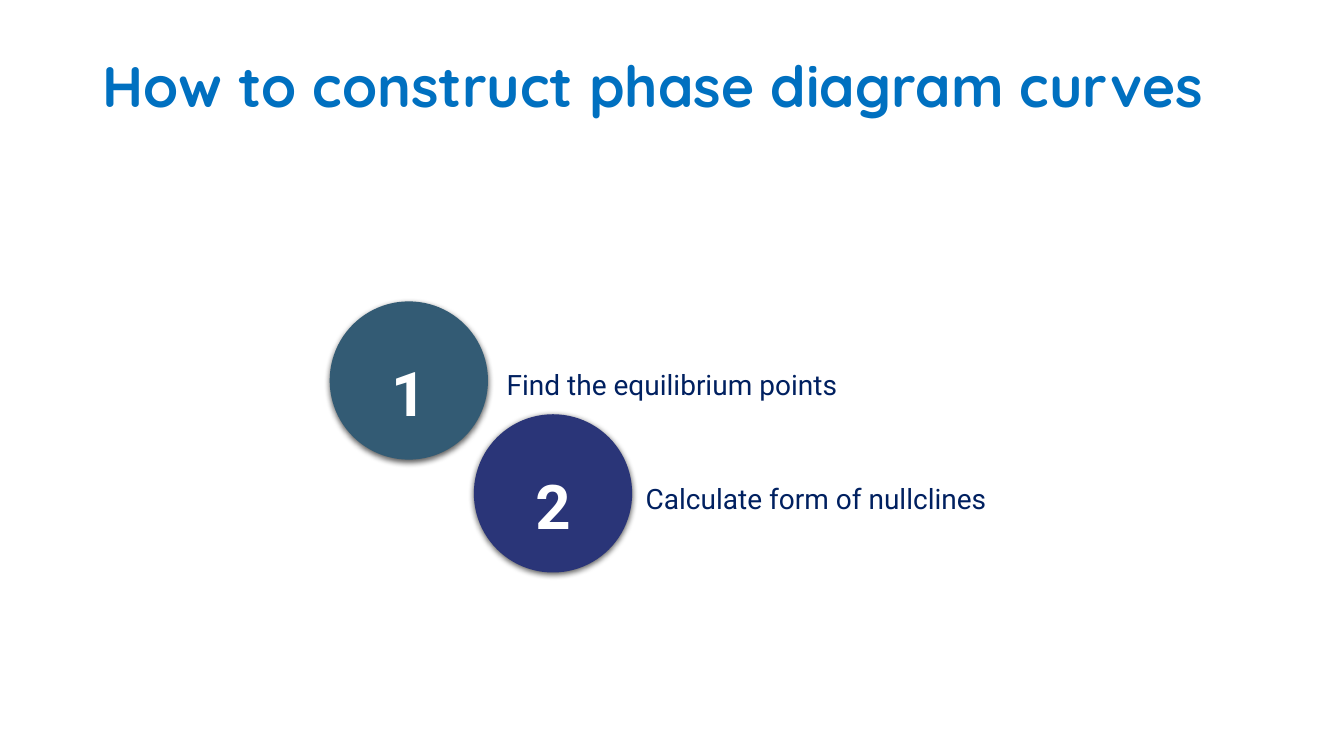
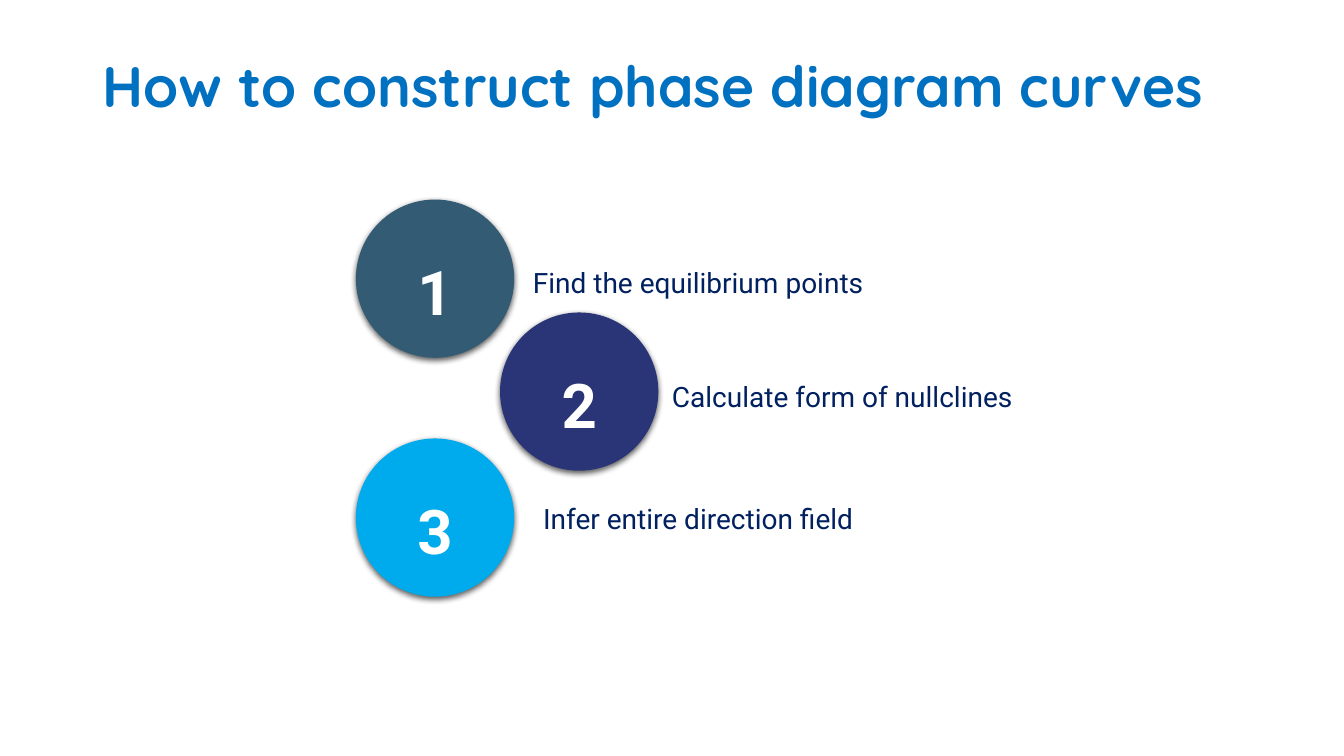
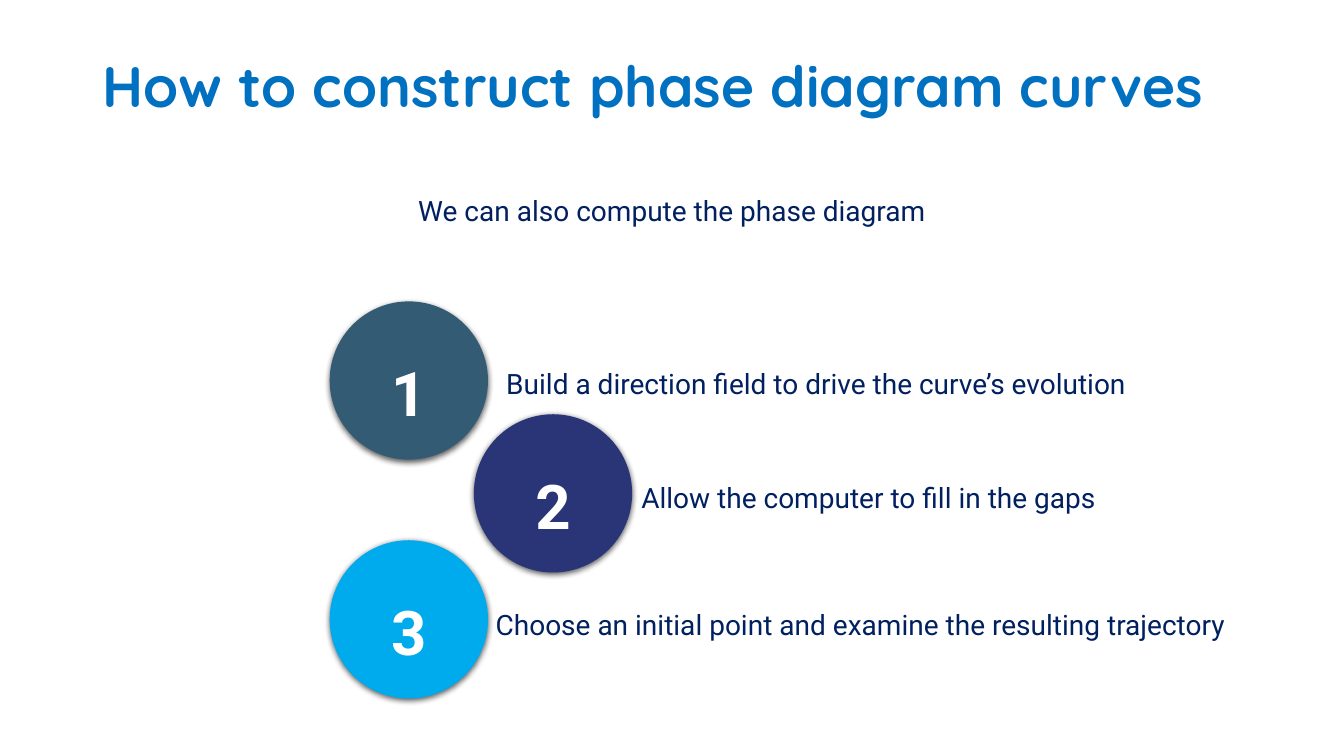
from lxml import etree
from pptx import Presentation
from pptx.dml.color import RGBColor
from pptx.enum.shapes import MSO_SHAPE as Shape
from pptx.enum.text import MSO_ANCHOR as Anchor, MSO_AUTO_SIZE as AutoSize, PP_ALIGN as Align
from pptx.oxml.ns import qn
from pptx.util import Inches, Pt

WIDTH, HEIGHT = 13.33, 7.5
TITLE = "How to construct phase diagram curves"
TITLE_FRAME = (0.92, 0.4, 11.5, 0.83)
DIAMETER = 1.57
COLUMN_STEP = 1.43
COLUMNS = (0, COLUMN_STEP, 0)
ROWS = (0, 1.12, 2.37)
CIRCLE_FILLS = ("335B74", "2A3578", "00ABED")
CAPTION_LEFT = -2.23
CAPTION_SIZE = (11.25, 0.55)
NUMBER_OFFSET = (0.485, 0.12)
NUMBER_SIZE = (0.6, 1.1)

BODY_PARAGRAPH = {"alignment": Align.CENTER, "line_spacing": 1.5, "space_after": Pt(6)}
BODY_FRAME = {"word_wrap": True, "auto_size": AutoSize.SHAPE_TO_FIT_TEXT}
STYLES = {
    "title": {
        "color": "0070C0",
        "font": {"name": "Quicksand", "size": Pt(40.8), "bold": True},
        "paragraph": {"alignment": Align.LEFT, "line_spacing": 0.8},
        "frame": {"word_wrap": True, "vertical_anchor": Anchor.BOTTOM},
    },
    "caption": {
        "color": "002060",
        "font": {"name": "Roboto", "size": Pt(20)},
        "paragraph": BODY_PARAGRAPH,
        "frame": BODY_FRAME,
    },
    "number": {
        "color": "FFFFFF",
        "font": {"name": "Roboto", "size": Pt(44), "bold": True},
        "paragraph": BODY_PARAGRAPH,
        "frame": BODY_FRAME,
    },
}

FIND = ("Find the equilibrium points", 0, 0.44)
CALCULATE = ("Calculate form of nullclines", 0, 0.45)
INFER = ("Infer entire direction field", 0, 0.41)
COMPUTED_STEPS = (
    ("Build a direction field to drive the curve’s evolution", COLUMN_STEP, 0.43),
    ("Allow the computer to fill in the gaps", 0.52, 0.44),
    ("Choose an initial point and examine the resulting trajectory", 1.87, 0.45),
)


def paint(color_format, color):
    """Set a colour from a hex string."""
    color_format.rgb = RGBColor.from_string(color)


def set_values(target, values):
    """Set attributes of an object from a dict."""
    for name, value in values.items():
        setattr(target, name, value)


def add_text(slide, text, frame, style_name):
    """Add a text box in one of the shared styles."""
    style = STYLES[style_name]
    text_frame = slide.shapes.add_textbox(*map(Inches, frame)).text_frame
    set_values(text_frame, style["frame"])
    paragraph = text_frame.paragraphs[0]
    set_values(paragraph, style["paragraph"])
    run = paragraph.add_run()
    run.text = text
    set_values(run.font, style["font"])
    paint(run.font.color, style["color"])


def add_shadow(shape):
    """Give a shape a soft shadow straight below it."""
    shape.shadow.inherit = False
    effects = shape.element.spPr.find(qn("a:effectLst"))
    shadow = etree.SubElement(
        effects, qn("a:outerShdw"), blurRad=str(Pt(4.5)), dist=str(Pt(1.5)),
        dir="5400000", algn="ctr", rotWithShape="0")
    color = etree.SubElement(shadow, qn("a:srgbClr"), val="000000")
    etree.SubElement(color, qn("a:alpha"), val="63000")


def add_circle(slide, left, top, fill):
    """Add a filled circle with a shadow."""
    frame = (left, top, DIAMETER, DIAMETER)
    circle = slide.shapes.add_shape(Shape.OVAL, *map(Inches, frame))
    circle.fill.solid()
    paint(circle.fill.fore_color, fill)
    circle.line.fill.background()
    add_shadow(circle)


def add_steps(slide, origin, steps):
    """Add numbered circles in a zigzag, each with its caption."""
    grid = zip(COLUMNS, ROWS, CIRCLE_FILLS, steps)
    for number, (column, row, fill, (text, shift, drop)) in enumerate(grid, 1):
        left, top = origin[0] + column, origin[1] + row
        add_text(slide, text, (left + CAPTION_LEFT + shift, top + drop, *CAPTION_SIZE), "caption")
        add_circle(slide, left, top, fill)
        number_frame = (left + NUMBER_OFFSET[0], top + NUMBER_OFFSET[1], *NUMBER_SIZE)
        add_text(slide, str(number), number_frame, "number")


def add_step_slide(presentation, origin, steps, lead=None):
    """Add a slide with steps, an optional lead line and the shared title."""
    slide = presentation.slides.add_slide(presentation.slide_layouts[6])
    add_steps(slide, origin, steps)
    if lead:
        add_text(slide, lead, ((WIDTH - CAPTION_SIZE[0]) / 2, 1.7, *CAPTION_SIZE), "caption")
    add_text(slide, TITLE, TITLE_FRAME, "title")


def main():
    """Build and save the presentation."""
    presentation = Presentation()
    presentation.slide_width, presentation.slide_height = Inches(WIDTH), Inches(HEIGHT)
    add_step_slide(presentation, (3.27, 2.99), (FIND, CALCULATE))
    add_step_slide(presentation, (3.53, 1.98), (FIND, CALCULATE, INFER))
    add_step_slide(presentation, (3.27, 2.99), COMPUTED_STEPS,
                   "We can also compute the phase diagram")
    presentation.save("out.pptx")


if __name__ == "__main__":
    main()
